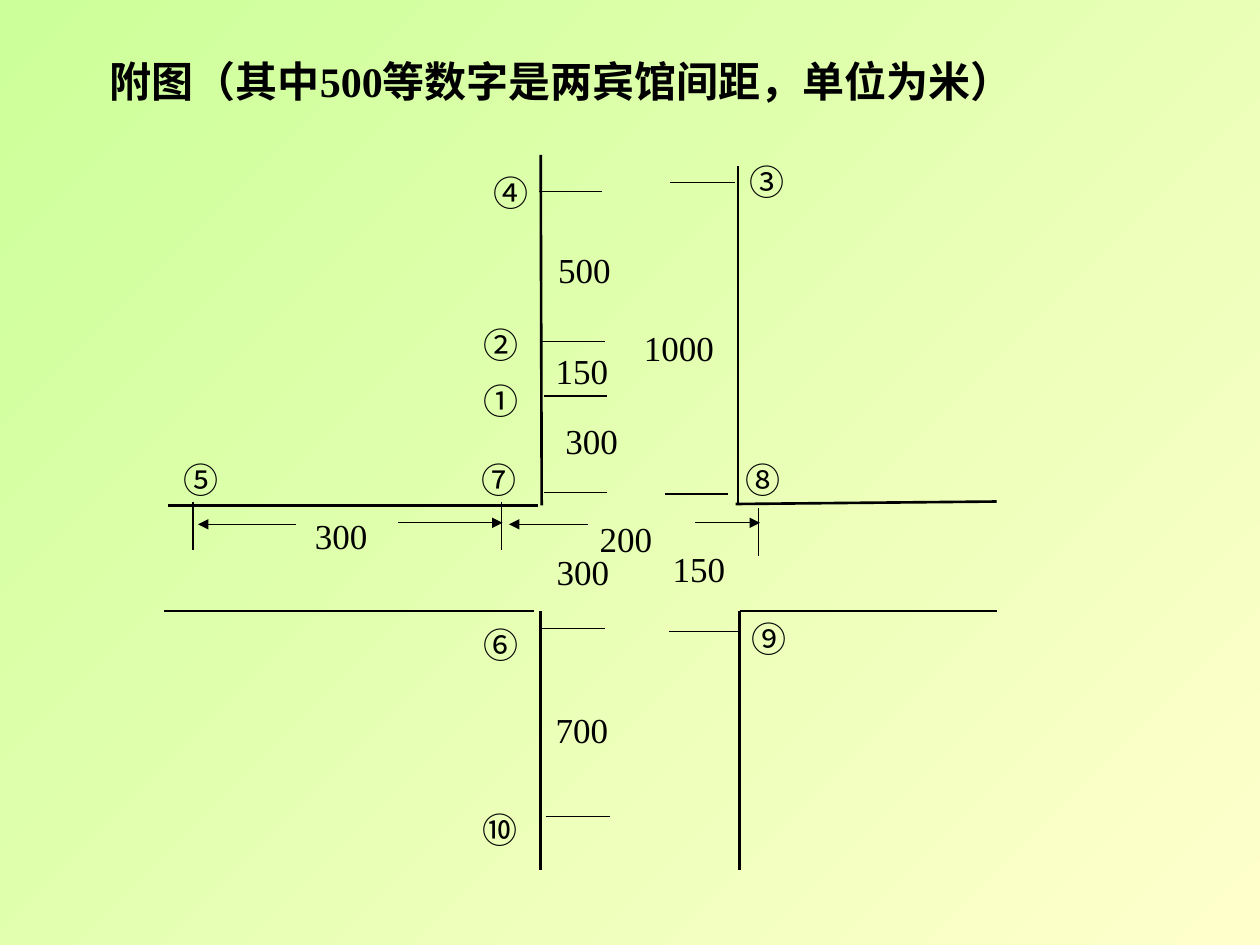
from lxml.etree import SubElement
from pptx import Presentation
from pptx.dml.color import RGBColor
from pptx.enum.shapes import MSO_CONNECTOR
from pptx.enum.text import MSO_ANCHOR, MSO_AUTO_SIZE, PP_ALIGN
from pptx.oxml.ns import qn
from pptx.util import Cm, Pt

BLACK = RGBColor(0x00, 0x00, 0x00)
YELLOW = RGBColor(0xFF, 0xFF, 0xCC)
GREEN = RGBColor(0xCC, 0xFF, 0x99)
LATIN_FONT = "Times New Roman"
CHINESE_FONT = "Noto Sans CJK SC"

TITLE = "附图（其中500等数字是两宾馆间距，单位为米）"

# All positions below are in centimetres.
ROADS = [  # x1, y1, x2, y2
    (10.9, 3.12, 10.92, 10.19),
    (14.88, 3.35, 14.88, 10.16),
    (3.38, 10.19, 10.85, 10.19),
    (14.83, 10.16, 20.09, 10.11),
    (3.3, 12.32, 10.77, 12.32),
    (14.91, 12.32, 20.09, 12.32),
    (10.9, 12.32, 10.9, 17.53),
    (14.91, 12.32, 14.91, 17.53),
]
LEVEL_TICKS = [  # left, y, length
    (10.87, 3.86, 1.27),
    (10.92, 6.88, 1.27),
    (10.97, 7.98, 1.27),
    (10.97, 9.93, 1.27),
    (10.9, 12.67, 1.3),
    (11, 16.46, 1.3),
    (13.51, 3.68, 1.3),
    (13.41, 9.96, 1.27),
    (13.49, 12.73, 1.42),
]
UPRIGHT_TICKS = [(3.89, 10.11), (10.11, 10.11), (15.29, 10.24)]  # x, top
UPRIGHT_LENGTH = 0.97
ARROWS = [  # start x, end x, y
    (5.97, 3.99, 10.57),
    (8.03, 10.13, 10.54),
    (11.86, 10.26, 10.57),
    (14.02, 15.32, 10.54),
]
HOTELS = [  # label, left, top, width
    ("①", 9.5, 7.52, 1.6),
    ("②", 9.5, 6.4, 1.14),
    ("③", 14.86, 3.12, 1.14),
    ("④", 9.7, 3.33, 1.17),
    ("⑤", 3.45, 9.12, 1.47),
    ("⑥", 9.5, 12.45, 1.27),
    ("⑦", 9.45, 9.12, 1.42),
    ("⑧", 14.78, 9.12, 1.4),
    ("⑨", 14.91, 12.32, 1.19),
    ("⑩", 9.47, 16.18, 1.35),
]
DISTANCES = [  # label, left, top, width
    ("500", 11, 4.88, 1.96),
    ("150", 10.95, 6.93, 1.96),
    ("300", 11.15, 8.33, 1.96),
    ("1000", 12.73, 6.45, 1.96),
    ("300", 6.1, 10.24, 1.85),
    ("200", 11.84, 10.31, 1.85),
    ("300", 10.97, 10.97, 1.93),
    ("150", 13.31, 10.92, 1.93),
    ("700", 10.95, 14.15, 1.96),
]
HOTEL_HEIGHT = 0.94
DISTANCE_HEIGHT = 0.99


def add_line(slide, x1, y1, x2, y2, width=0.75, arrow=False):
    line = slide.shapes.add_connector(
        MSO_CONNECTOR.STRAIGHT, Cm(x1), Cm(y1), Cm(x2), Cm(y2))
    line.line.color.rgb = BLACK
    line.line.width = Pt(width)
    properties = line._element.spPr
    if arrow:
        SubElement(properties.find(qn("a:ln")), qn("a:tailEnd"), type="triangle")
    SubElement(properties, qn("a:effectLst"))


def add_run(paragraph, text, size, font, bold=False):
    run = paragraph.add_run()
    run.text = text
    run.font.size = Pt(size)
    run.font.bold = bold
    run.font.name = font
    run.font.color.rgb = BLACK
    SubElement(run.font._element, qn("a:ea"), typeface=CHINESE_FONT)


def add_label(slide, text, left, top, width, height, font):
    box = slide.shapes.add_textbox(Cm(left), Cm(top), Cm(width), Cm(height))
    box.text_frame.word_wrap = True
    paragraph = box.text_frame.paragraphs[0]
    paragraph.alignment = PP_ALIGN.JUSTIFY
    add_run(paragraph, text, 20, font)


def add_title(slide):
    title = slide.shapes.title
    title.left, title.top = Cm(1.96), Cm(0.99)
    title.width, title.height = Cm(19.1), Cm(1.27)
    frame = title.text_frame
    frame.word_wrap = False
    frame.auto_size = MSO_AUTO_SIZE.SHAPE_TO_FIT_TEXT
    frame.vertical_anchor = MSO_ANCHOR.MIDDLE
    frame.paragraphs[0].alignment = PP_ALIGN.LEFT
    add_run(frame.paragraphs[0], TITLE, 24, LATIN_FONT, bold=True)


def paint_background(slide):
    fill = slide.background.fill
    fill.gradient()
    fill.gradient_angle = 135
    for stop, color in zip(fill.gradient_stops, (YELLOW, GREEN)):
        stop.color.rgb = color


def main():
    presentation = Presentation()
    presentation.slide_width, presentation.slide_height = Cm(25.4), Cm(19.05)
    slide = presentation.slides.add_slide(presentation.slide_layouts[5])
    paint_background(slide)
    add_title(slide)

    for road in ROADS:
        add_line(slide, *road, width=1.5)
    for left, y, length in LEVEL_TICKS:
        add_line(slide, left, y, left + length, y)
    for x, top in UPRIGHT_TICKS:
        add_line(slide, x, top, x, top + UPRIGHT_LENGTH)
    for start, end, y in ARROWS:
        add_line(slide, start, y, end, y, arrow=True)
    for hotel in HOTELS:
        add_label(slide, *hotel, HOTEL_HEIGHT, CHINESE_FONT)
    for distance in DISTANCES:
        add_label(slide, *distance, DISTANCE_HEIGHT, LATIN_FONT)

    presentation.save("out.pptx")


if __name__ == "__main__":
    main()
